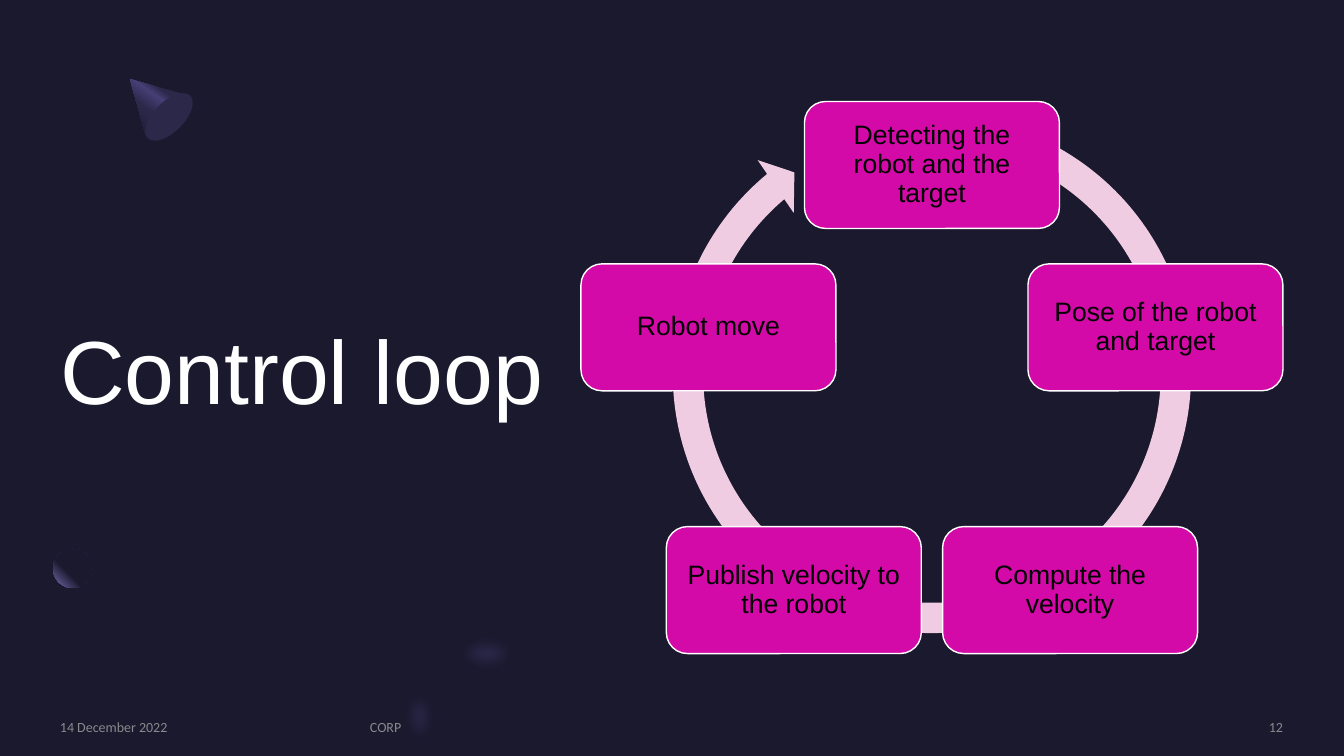
import math

import pptx
import pptx.dml.color
import pptx.enum.shapes
import pptx.enum.text
import pptx.oxml
import pptx.oxml.ns
import pptx.util

SLIDE_WIDTH, SLIDE_HEIGHT = 1344, 756
EMU_PER_PX = 12192000 / SLIDE_WIDTH
SHAPES = pptx.enum.shapes.MSO_SHAPE
ALIGN = pptx.enum.text.PP_ALIGN
COLOURS = {
    "night": "1B192E", "dusk": "2C284A", "violet": "454075", "lilac": "7771B2",
    "magenta": "D40AA8", "blush": "EFCCE1", "white": "FFFFFF",
    "black": "000000", "grey": "A6A6A6",
}
STEPS = [
    "Detecting the robot and the target",
    "Pose of the robot and target",
    "Compute the velocity",
    "Publish velocity to the robot",
    "Robot move",
]


def px(length):
    """Turn a length in pixels into EMU."""
    return pptx.util.Emu(round(length * EMU_PER_PX))


def colour(name):
    """Return the named colour as an RGB value."""
    return pptx.dml.color.RGBColor.from_string(COLOURS[name])


def element(markup):
    """Parse one DrawingML element whose tag carries the a prefix."""
    head, rest = markup.split(" ", 1)
    return pptx.oxml.parse_xml(f"{head} {pptx.oxml.ns.nsdecls('a')} {rest}")


def style_shape(shape, fill, line=None):
    """Give a shape a flat fill, an optional outline and no shadow."""
    shape.shadow.inherit = False
    shape.fill.solid()
    shape.fill.fore_color.rgb = colour(fill)
    if line:
        shape.line.color.rgb = colour(line)
        shape.line.width = pptx.util.Pt(1)
    else:
        shape.line.fill.background()


def add_preset(slide, preset, box, fill, line=None):
    """Add a preset shape in a box of left, top, width and height."""
    shape = slide.shapes.add_shape(preset, *map(px, box))
    style_shape(shape, fill, line)
    return shape


def set_gradient(shape, stops, direction):
    """Fill a shape with gradient stops along the given direction element."""
    shape.fill.gradient()
    gradient = shape._element.spPr.find(pptx.oxml.ns.qn("a:gradFill"))
    for child in list(gradient):
        gradient.remove(child)
    markup = "".join(
        f'<a:gs pos="{position * 1000}"><a:srgbClr val="{COLOURS[name]}"/></a:gs>'
        for position, name in stops
    )
    gradient.append(element(f"<a:gsLst >{markup}</a:gsLst>"))
    gradient.append(element(direction))


def write_text(shape, text, size, color, font="Arial", align=ALIGN.LEFT,
               spacing=1.0, inset=0, opacity=100):
    """Write one formatted, vertically centred paragraph into a shape."""
    frame = shape.text_frame
    frame.word_wrap = True
    frame.vertical_anchor = pptx.enum.text.MSO_ANCHOR.MIDDLE
    frame.margin_left = frame.margin_right = px(inset)
    frame.margin_top = frame.margin_bottom = px(inset)
    paragraph = frame.paragraphs[0]
    paragraph.alignment = align
    paragraph.line_spacing = spacing
    run = paragraph.add_run()
    run.text = text
    run.font.name = font
    run.font.size = pptx.util.Pt(size)
    run.font.color.rgb = colour(color)
    if opacity < 100:
        value = run._r.find(".//" + pptx.oxml.ns.qn("a:srgbClr"))
        value.append(element(f'<a:alpha val="{opacity * 1000}"/>'))


def add_cone(slide, left, top):
    """Draw the shaded cone with its tip at the given corner."""
    builder = slide.shapes.build_freeform(px(left), px(top), scale=1.0)
    outline = [(57, 16), (60, 18), (18, 59), (16, 57)]
    builder.add_line_segments([(px(left + x), px(top + y)) for x, y in outline])
    body = builder.convert_to_shape()
    style_shape(body, "dusk")
    stops = [(0, "dusk"), (30, "dusk"), (40, "violet"), (60, "dusk"), (100, "night")]
    set_gradient(body, stops, '<a:lin ang="7500000" scaled="0"/>')
    base = add_preset(slide, SHAPES.OVAL, (left + 24, top + 8, 30, 60), "dusk")
    base.rotation = 45


def add_sphere(slide, left, top, size):
    """Draw the small sphere lit from the lower left."""
    sphere = add_preset(slide, SHAPES.OVAL, (left, top, size, size), "night")
    direction = ('<a:path path="circle"><a:fillToRect l="100000" b="100000"/></a:path>')
    set_gradient(sphere, [(0, "night"), (60, "night"), (100, "lilac")], direction)


def add_glow(slide, box):
    """Draw a soft-edged spot of light."""
    glow = add_preset(slide, SHAPES.OVAL, box, "dusk")
    effects = glow._element.spPr.find(pptx.oxml.ns.qn("a:effectLst"))
    effects.append(element(f'<a:softEdge rad="{px(12)}"/>'))


def add_label(slide, box, text, **style):
    """Add a text box in a box of left, top, width and height."""
    write_text(slide.shapes.add_textbox(*map(px, box)), text, **style)


def add_cycle(slide, center_x, center_y, radius):
    """Draw the steps at equal angles over a circular arrow."""
    size = 552
    box = (center_x - size / 2, center_y - 302, size, size)
    arrow = add_preset(slide, SHAPES.CIRCULAR_ARROW, box, "blush")
    for index, value in enumerate([0.055, 3.307, 138.108, 173.648, 0.058]):
        arrow.adjustments[index] = value
    width, height = 255, 127
    for index, step in enumerate(STEPS):
        angle = 2 * math.pi * index / len(STEPS)
        left = center_x + radius * math.sin(angle) - width / 2
        top = center_y - radius * math.cos(angle) - height / 2
        node = add_preset(slide, SHAPES.ROUNDED_RECTANGLE, (left, top, width, height),
                          "magenta", "white")
        write_text(node, step, 19, "black", align=ALIGN.CENTER, spacing=0.9, inset=14)


def add_footer(slide, top, height):
    """Write the date, footer text and slide number."""
    entries = [
        (60, 290, "14 December 2022", ALIGN.LEFT),
        (370, 704, "CORP", ALIGN.LEFT),
        (1097, 186, "12", ALIGN.RIGHT),
    ]
    for left, width, text, align in entries:
        add_label(slide, (left, top, width, height), text, size=10, color="grey",
                  font="Calibri", align=align, opacity=80)


def main():
    """Build and save the presentation."""
    presentation = pptx.Presentation()
    presentation.slide_width = px(SLIDE_WIDTH)
    presentation.slide_height = px(SLIDE_HEIGHT)
    slide = presentation.slides.add_slide(presentation.slide_layouts[6])
    slide.background.fill.solid()
    slide.background.fill.fore_color.rgb = colour("night")
    add_label(slide, (60, 167, 500, 416), "Control loop", size=64, color="white",
              spacing=0.9)
    add_cone(slide, 130, 79)
    add_sphere(slide, 53, 549, 39)
    add_glow(slide, (449, 632, 76, 44))
    add_glow(slide, (400, 680, 40, 74))
    add_footer(slide, 718, 17)
    add_cycle(slide, 932, 400, 235)
    presentation.save("out.pptx")


if __name__ == "__main__":
    main()
